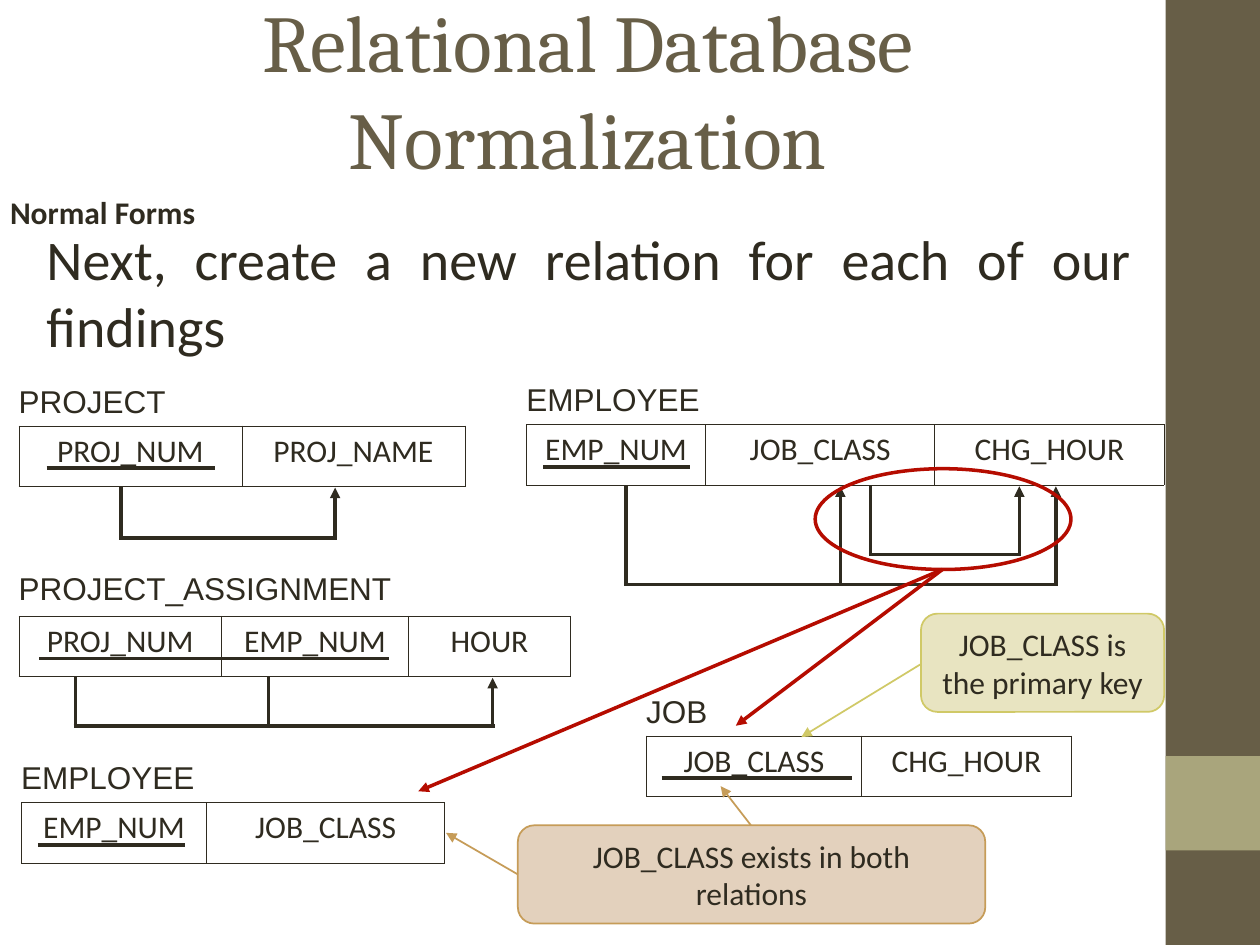
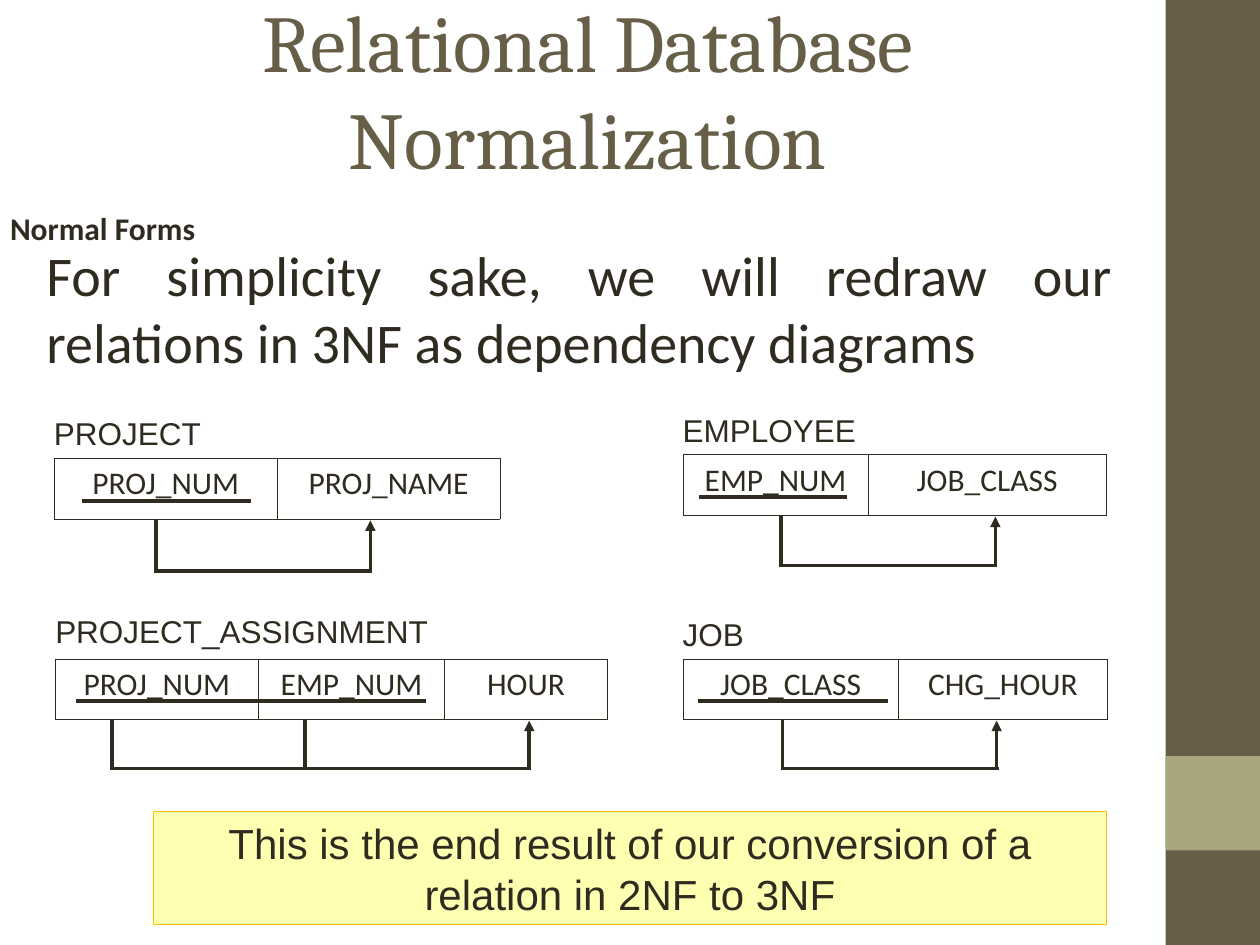
from dataclasses import dataclass
from lxml.etree import SubElement
from pptx import Presentation
from pptx.dml.color import RGBColor
from pptx.enum.shapes import MSO_CONNECTOR, MSO_SHAPE
from pptx.enum.text import MSO_ANCHOR, PP_ALIGN
from pptx.oxml.ns import qn
from pptx.util import Inches, Pt


@dataclass(frozen=True)
class TextStyle:
    font: str
    size: int
    color: str
    align: PP_ALIGN = PP_ALIGN.LEFT
    bold: bool = False
    spacing: int = 0
    margins: tuple = (1, 0.5)
    anchor: MSO_ANCHOR = MSO_ANCHOR.TOP


@dataclass(frozen=True)
class Theme:
    ink: str = "2F2B20"
    band: str = "675E47"
    accent: str = "A9A57C"
    red: str = "B50C00"
    olive: str = "D0C967"
    olive_tint: str = "E8E4C1"
    tan: str = "C69C58"
    tan_tint: str = "E3D1BD"
    yellow: str = "FFFF00"
    gold: str = "FFC000"
    heavy: float = 2
    thin: float = 1
    hairline: float = 0.45
    title: TextStyle = TextStyle("Cambria", 46, "675E47", PP_ALIGN.CENTER, anchor=MSO_ANCHOR.MIDDLE)
    heading: TextStyle = TextStyle("Calibri", 18, "2F2B20", bold=True, spacing=18, margins=(0.8, 0))
    body: TextStyle = TextStyle("Calibri", 32, "2F2B20", PP_ALIGN.JUSTIFY)
    label: TextStyle = TextStyle("Arial", 18, "2F2B20")
    attribute: TextStyle = TextStyle("Calibri", 18, "2F2B20", PP_ALIGN.CENTER)
    result: TextStyle = TextStyle("Arial", 24, "2F2B20", PP_ALIGN.CENTER)


@dataclass(frozen=True)
class Relation:
    name: str
    attributes: tuple
    widths: tuple
    key: tuple
    dependencies: tuple
    label_gap: float = 4


theme = Theme()
deck = Presentation()
deck.slide_width, deck.slide_height = Inches(10), Inches(7.5)
COLUMN = deck.slide_width // 100
ROW = deck.slide_height // 75
TABLE_ROWS = 4.8
KEY_ROW = 3.35
ARROW_ROW = 4.9
CORNER = 0.15


def write(frame, text, style):
    para = frame.paragraphs[0]
    para.alignment = style.align
    if style.spacing:
        para.line_spacing = Pt(style.spacing)
    span = para.add_run()
    span.text = text
    span.font.name = style.font
    span.font.size = Pt(style.size)
    span.font.bold = style.bold
    span.font.color.rgb = RGBColor.from_string(style.color)


def draw_line(page, start, end, color=theme.ink, width=theme.heavy, arrow=False):
    (x1, y1), (x2, y2) = start, end
    line = page.shapes.add_connector(
        MSO_CONNECTOR.STRAIGHT, int(x1 * COLUMN), int(y1 * ROW), int(x2 * COLUMN), int(y2 * ROW))
    line.line.color.rgb = RGBColor.from_string(color)
    line.line.width = Pt(width)
    if arrow:
        SubElement(line.line._get_or_add_ln(), qn("a:tailEnd"), type="triangle")
    SubElement(line._element.spPr, qn("a:effectLst"))


project = Relation("PROJECT", ("PROJ_NUM", "PROJ_NAME"), (17.7, 17.7), (2.2, 15.6),
                   (((8.1,), (25.1,), 8.9),))
assignment = Relation("PROJECT_ASSIGNMENT", ("PROJ_NUM", "EMP_NUM", "HOUR"), (16.1, 14.8, 12.9),
                      (1.6, 29.4), (((4.5, 19.8), (37.6,), 8.7),), 4.2)
old_employee = Relation("EMPLOYEE", ("EMP_NUM", "JOB_CLASS", "CHG_HOUR"), (14.2, 18.2, 18.2),
                        (1.3, 13), (((7.9,), (24.9, 42), 12.7), ((27.3,), (39.1,), 10.3)))
employee = Relation("EMPLOYEE", ("EMP_NUM", "JOB_CLASS"), (14.7, 18.9), (1.3, 13),
                    (((7.8,), (24.8,), 8.8),))
job = Relation("JOB", ("JOB_CLASS", "CHG_HOUR"), (17.1, 16.6), (1.2, 16.3),
               (((7.9,), (24.9,), 8.7),))

contents = [
    (15.8, "Next, create a new relation for each of our findings", 88.1,
     [(project, 1.5, 33.8, True), (old_employee, 41.8, 33.7, True),
      (assignment, 1.5, 48.9, True), (job, 51.3, 58.4, False), (employee, 1.7, 63.7, False)]),
    (17.1, "For simplicity sake, we will redraw our relations in 3NF as dependency diagrams", 86.6,
     [(project, 4.3, 36.4, True), (assignment, 4.4, 52.3, True),
      (employee, 54.2, 36.1, True), (job, 54.2, 52.3, True)]),
]

pages = []
for heading_top, statement, statement_width, relations in contents:
    page = deck.slides.add_slide(deck.slide_layouts[6])
    pages.append(page)

    for top, height, color in ((0, 75, theme.band), (60, 7.5, theme.accent)):
        band = page.shapes.add_shape(
            MSO_SHAPE.RECTANGLE, int(92.5 * COLUMN), int(top * ROW), int(7.5 * COLUMN), int(height * ROW))
        band.shadow.inherit = False
        band.fill.solid()
        band.fill.fore_color.rgb = RGBColor.from_string(color)
        band.line.fill.background()

    texts = [
        ("Relational Database Normalization", 5, 0.8, 83.3, 12.5, theme.title),
        ("Normal Forms", 0, heading_top, 89.4, 3.5, theme.heading),
        (statement, 2.7, heading_top + 1.5, statement_width, 11.8, theme.body),
    ]
    for relation, left, top, _ in relations:
        texts.append((relation.name, left - 1, top - relation.label_gap, 31.9, 4, theme.label))

    for text, left, top, width, height, style in texts:
        box = page.shapes.add_textbox(
            int(left * COLUMN), int(top * ROW), int(width * COLUMN), int(height * ROW))
        frame = box.text_frame
        frame.word_wrap = True
        frame.vertical_anchor = style.anchor
        frame.margin_left = frame.margin_right = int(style.margins[0] * COLUMN)
        frame.margin_top = frame.margin_bottom = int(style.margins[1] * ROW)
        write(frame, text, style)

    for relation, left, top, show_dependencies in relations:
        table = page.shapes.add_table(
            1, len(relation.attributes), int(left * COLUMN), int(top * ROW),
            int(sum(relation.widths) * COLUMN), int(TABLE_ROWS * ROW)).table
        table.first_row = table.horz_banding = False
        for index, (attribute, width) in enumerate(zip(relation.attributes, relation.widths)):
            table.columns[index].width = int(width * COLUMN)
            cell = table.cell(0, index)
            write(cell.text_frame, attribute, theme.attribute)
            properties = cell._tc.get_or_add_tcPr()
            for side in ("a:lnL", "a:lnR", "a:lnT", "a:lnB"):
                border = SubElement(properties, qn(side), w=str(Pt(theme.hairline)))
                paint = SubElement(border, qn("a:solidFill"))
                SubElement(paint, qn("a:srgbClr"), val=theme.ink)
            cell.fill.background()

        key_start, key_end = relation.key
        draw_line(page, (left + key_start, top + KEY_ROW), (left + key_end, top + KEY_ROW))
        if not show_dependencies:
            continue
        for stems, targets, depth in relation.dependencies:
            bottom = top + depth
            for stem in stems:
                draw_line(page, (left + stem, bottom), (left + stem, top + TABLE_ROWS))
            draw_line(page, (left + stems[0] - CORNER, bottom), (left + targets[-1] + CORNER, bottom))
            for target in targets:
                draw_line(page, (left + target, bottom), (left + target, top + ARROW_ROW), arrow=True)

split_page, result_page = pages

ring = split_page.shapes.add_shape(
    MSO_SHAPE.OVAL, int(64.7 * COLUMN), int(37.2 * ROW), int(20.3 * COLUMN), int(8 * ROW))
ring.shadow.inherit = False
ring.fill.background()
ring.line.color.rgb = RGBColor.from_string(theme.red)
ring.line.width = Pt(theme.heavy)

callouts = [
    (split_page, MSO_SHAPE.ROUNDED_RECTANGLE, "JOB_CLASS is the primary key",
     (73.1, 48.7, 19.3, 7.8), theme.olive_tint, theme.olive, theme.thin, theme.attribute),
    (split_page, MSO_SHAPE.ROUNDED_RECTANGLE, "JOB_CLASS exists in both relations",
     (41.1, 65.5, 37.1, 7.8), theme.tan_tint, theme.tan, theme.thin, theme.attribute),
    (result_page, MSO_SHAPE.RECTANGLE,
     "This is the end result of our conversion of a relation in 2NF to 3NF",
     (12.2, 64.4, 75.6, 9), theme.yellow, theme.gold, 0.75, theme.result),
]
for page, outline, text, (left, top, width, height), fill, edge, weight, style in callouts:
    callout = page.shapes.add_shape(
        outline, int(left * COLUMN), int(top * ROW), int(width * COLUMN), int(height * ROW))
    callout.shadow.inherit = False
    callout.fill.solid()
    callout.fill.fore_color.rgb = RGBColor.from_string(fill)
    callout.line.color.rgb = RGBColor.from_string(edge)
    callout.line.width = Pt(weight)
    callout.text_frame.word_wrap = True
    callout.text_frame.vertical_anchor = MSO_ANCHOR.MIDDLE
    write(callout.text_frame, text, style)
    if fill == theme.yellow:
        tint = callout._element.spPr.find(qn("a:solidFill")).find(qn("a:srgbClr"))
        SubElement(tint, qn("a:alpha"), val="30000")

pointers = [
    ((74.8, 45.2), (58.4, 57.6), theme.red, theme.heavy),
    ((74.8, 45.2), (33.2, 62.8), theme.red, theme.heavy),
    ((73.1, 52.7), (63.6, 58.5), theme.olive, theme.thin),
    ((59.6, 65.5), (57.2, 62.4), theme.tan, theme.thin),
    ((41.1, 69.4), (35.4, 66.1), theme.tan, theme.thin),
]
for start, end, color, width in pointers:
    draw_line(split_page, start, end, color, width, arrow=True)

deck.save("out.pptx")
